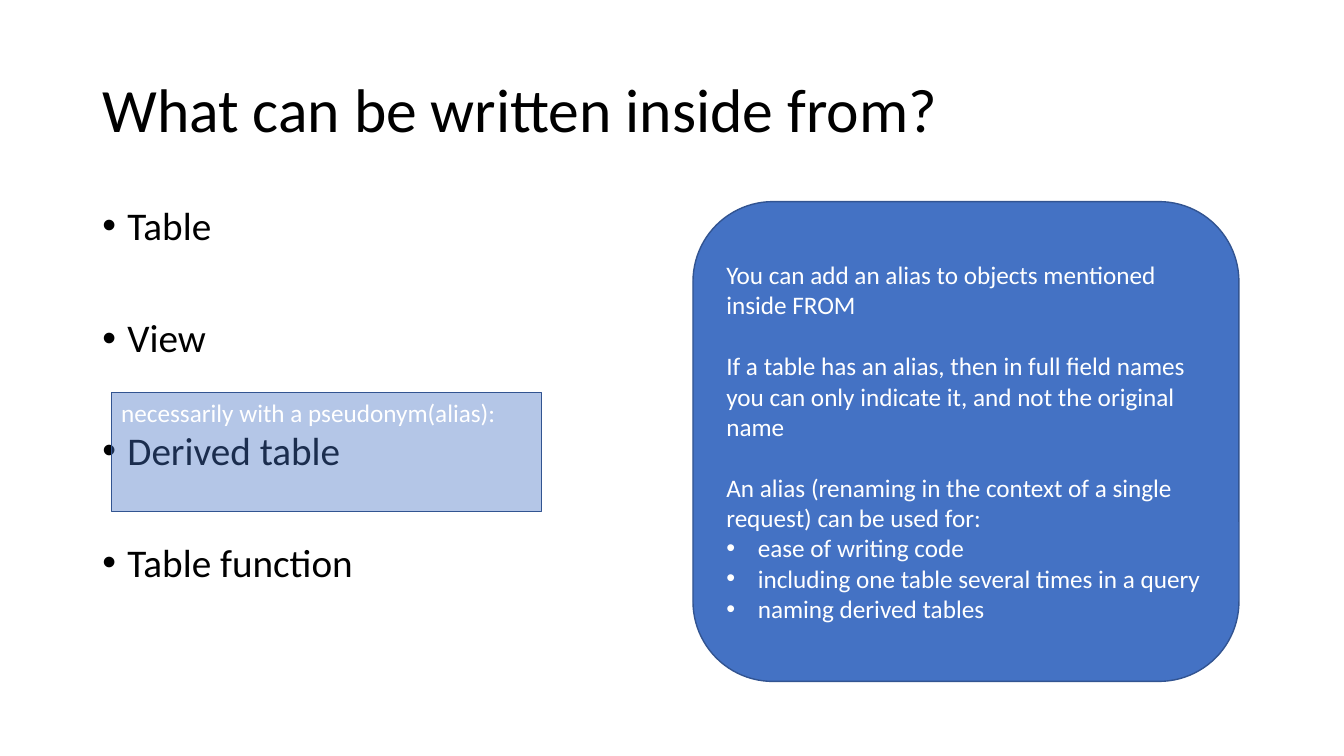
from dataclasses import dataclass

from lxml.etree import SubElement
from pptx import Presentation
from pptx.dml.color import RGBColor
from pptx.enum.shapes import MSO_SHAPE
from pptx.enum.text import MSO_ANCHOR, PP_ALIGN
from pptx.oxml.ns import qn
from pptx.util import Pt

PX = 9525  # EMU per px, 96 px to the inch


@dataclass(frozen=True)
class Theme:
    font: str = "Calibri"
    ink: RGBColor = RGBColor(0x00, 0x00, 0x00)
    paper: RGBColor = RGBColor(0xFF, 0xFF, 0xFF)
    accent: RGBColor = RGBColor(0x44, 0x72, 0xC4)
    outline: RGBColor = RGBColor(0x32, 0x54, 0x91)
    title_size: int = 44
    list_size: int = 28
    note_size: int = 18
    outline_width: int = 1


THEME = Theme()

SOURCES = ["Table", "View", "Derived table", "Table function"]
ALIAS_RULES = [
    "You can add an alias to objects mentioned inside FROM",
    "If a table has an alias, then in full field names you can only indicate it, "
    "and not the original name",
    "An alias (renaming in the context of a single request) can be used for:",
]
ALIAS_USES = [
    "ease of writing code",
    "including one table several times in a query",
    "naming derived tables",
]


def emu(box):
    return [length * PX for length in box]


def write(frame, texts, size, color, gap=0, spacing=None, bullet_indent=0):
    """Append paragraphs, gap points apart, with a hanging bullet if indented."""
    frame.word_wrap = True
    for text in texts:
        is_first = not frame.text
        paragraph = frame.paragraphs[0] if is_first else frame.add_paragraph()
        paragraph.text = text
        paragraph.alignment = PP_ALIGN.LEFT
        if spacing:
            paragraph.line_spacing = spacing
        if gap and not is_first:
            paragraph.space_before = Pt(gap)
        if bullet_indent:
            properties = paragraph._p.get_or_add_pPr()
            properties.set("marL", str(bullet_indent * PX))
            properties.set("indent", str(-bullet_indent * PX))
            SubElement(properties, qn("a:buFont"), typeface="Arial")
            SubElement(properties, qn("a:buChar"), char="•")
        paragraph.font.name = THEME.font
        paragraph.font.size = Pt(size)
        paragraph.font.color.rgb = color


def add_panel(slide, preset, box, anchor):
    panel = slide.shapes.add_shape(preset, *emu(box))
    panel.shadow.inherit = False
    panel.fill.solid()
    panel.fill.fore_color.rgb = THEME.accent
    panel.line.color.rgb = THEME.outline
    panel.line.width = Pt(THEME.outline_width)
    panel.text_frame.vertical_anchor = anchor
    return panel


def add_title(slide, box):
    frame = slide.shapes.add_textbox(*emu(box)).text_frame
    frame.vertical_anchor = MSO_ANCHOR.MIDDLE
    write(frame, ["What can be written inside from?"], THEME.title_size, THEME.ink,
          spacing=0.9)


def add_source_list(slide, box):
    frame = slide.shapes.add_textbox(*emu(box)).text_frame
    write(frame, SOURCES, THEME.list_size, THEME.ink,
          gap=50, spacing=0.9, bullet_indent=24)


def add_alias_panel(slide, box):
    panel = add_panel(slide, MSO_SHAPE.ROUNDED_RECTANGLE, box, MSO_ANCHOR.MIDDLE)
    frame = panel.text_frame
    write(frame, ALIAS_RULES, THEME.note_size, THEME.paper, gap=22)
    write(frame, ALIAS_USES, THEME.note_size, THEME.paper, bullet_indent=30)


def add_pseudonym_note(slide, box):
    """Translucent note that lies over the derived table item."""
    note = add_panel(slide, MSO_SHAPE.RECTANGLE, box, MSO_ANCHOR.TOP)
    fill_color = note._element.spPr.find(qn("a:solidFill"))[0]
    SubElement(fill_color, qn("a:alpha"), val="40000")
    write(note.text_frame, ["necessarily with a pseudonym(alias):"],
          THEME.note_size, THEME.paper)


def main():
    deck = Presentation()
    deck.slide_width, deck.slide_height = emu((1280, 720))
    slide = deck.slides.add_slide(deck.slide_layouts[6])
    add_title(slide, (88, 38, 1104, 139))
    add_source_list(slide, (88, 192, 502, 457))
    add_alias_panel(slide, (660, 192, 520, 457))
    add_pseudonym_note(slide, (106, 374, 410, 113))
    deck.save("out.pptx")


if __name__ == "__main__":
    main()
